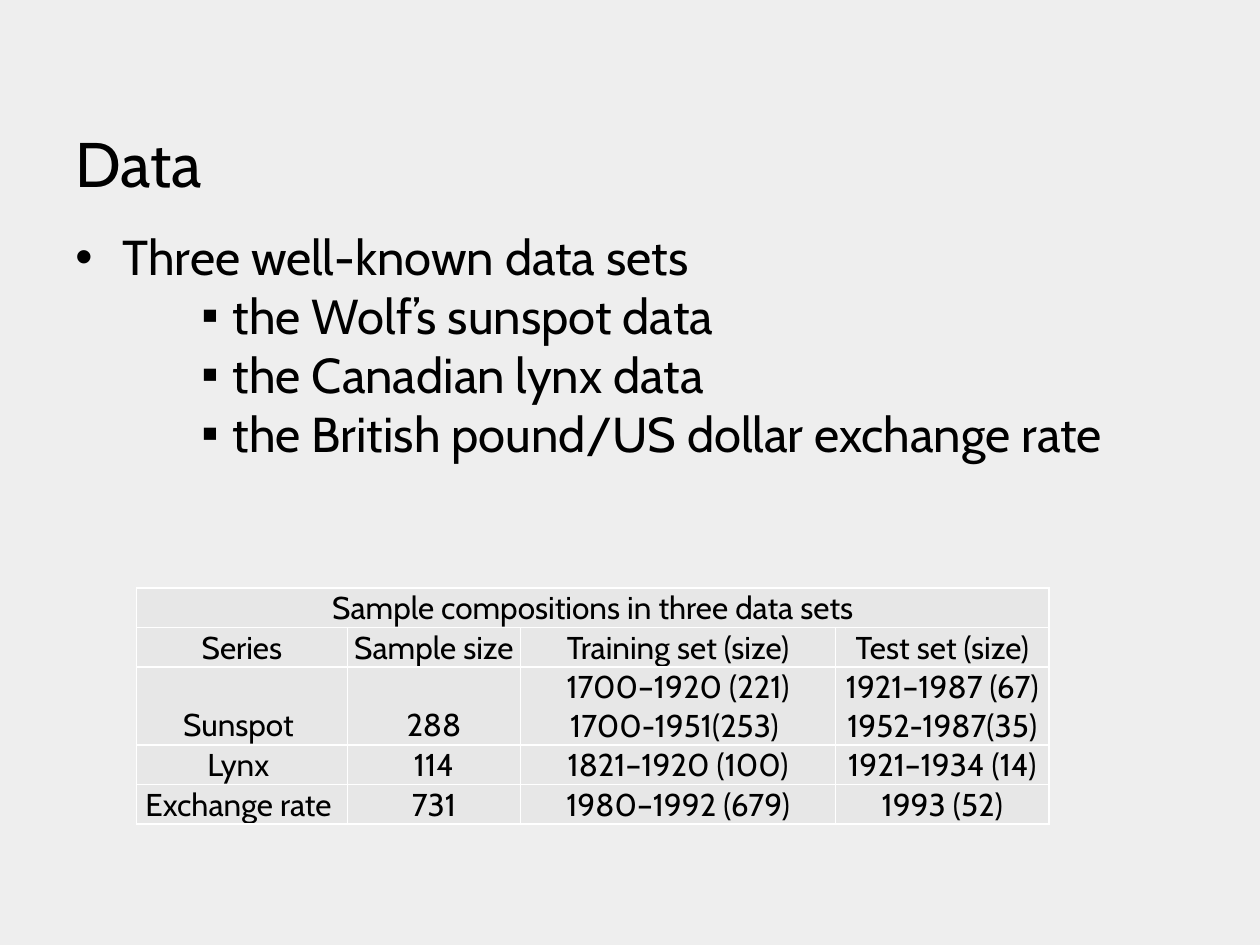
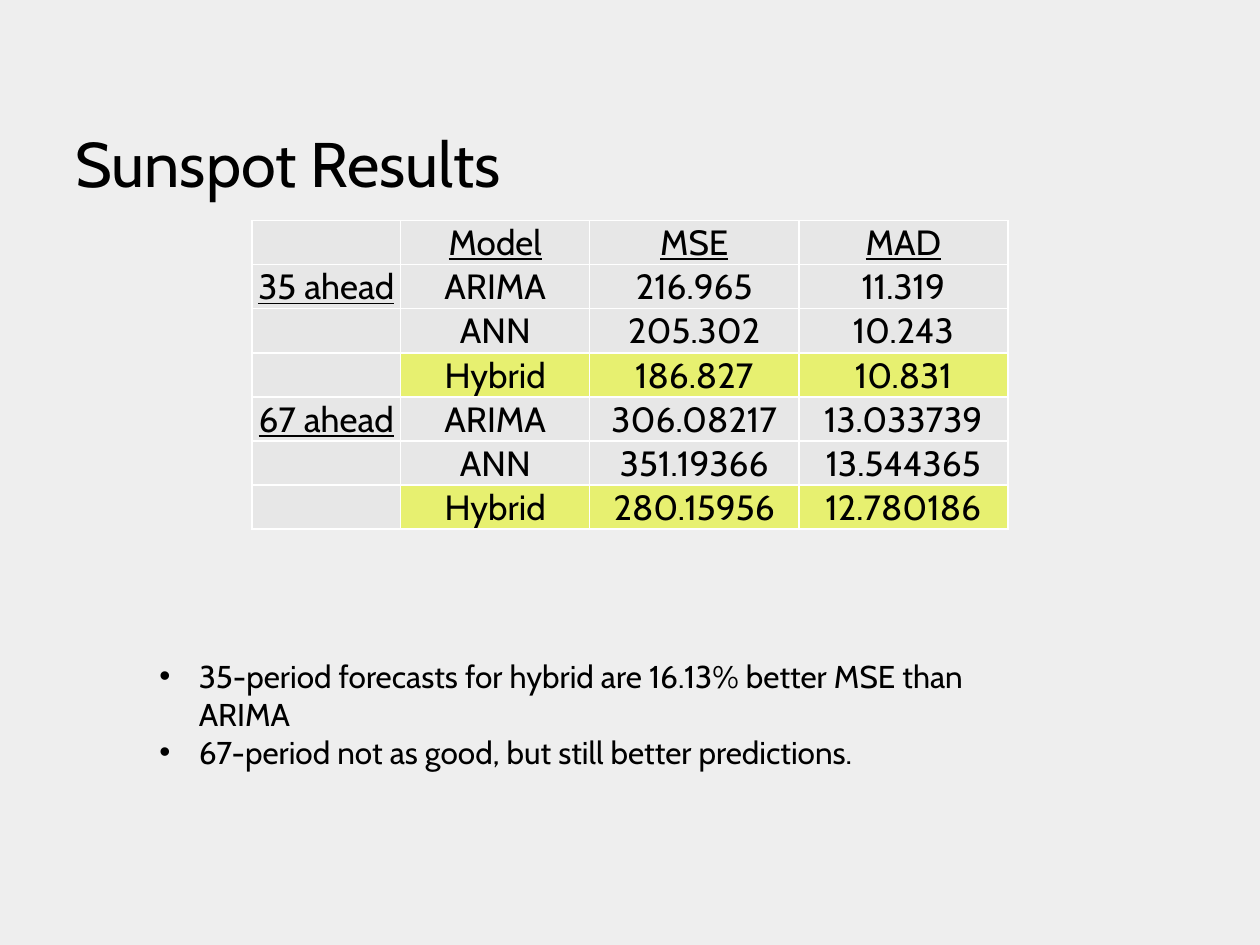
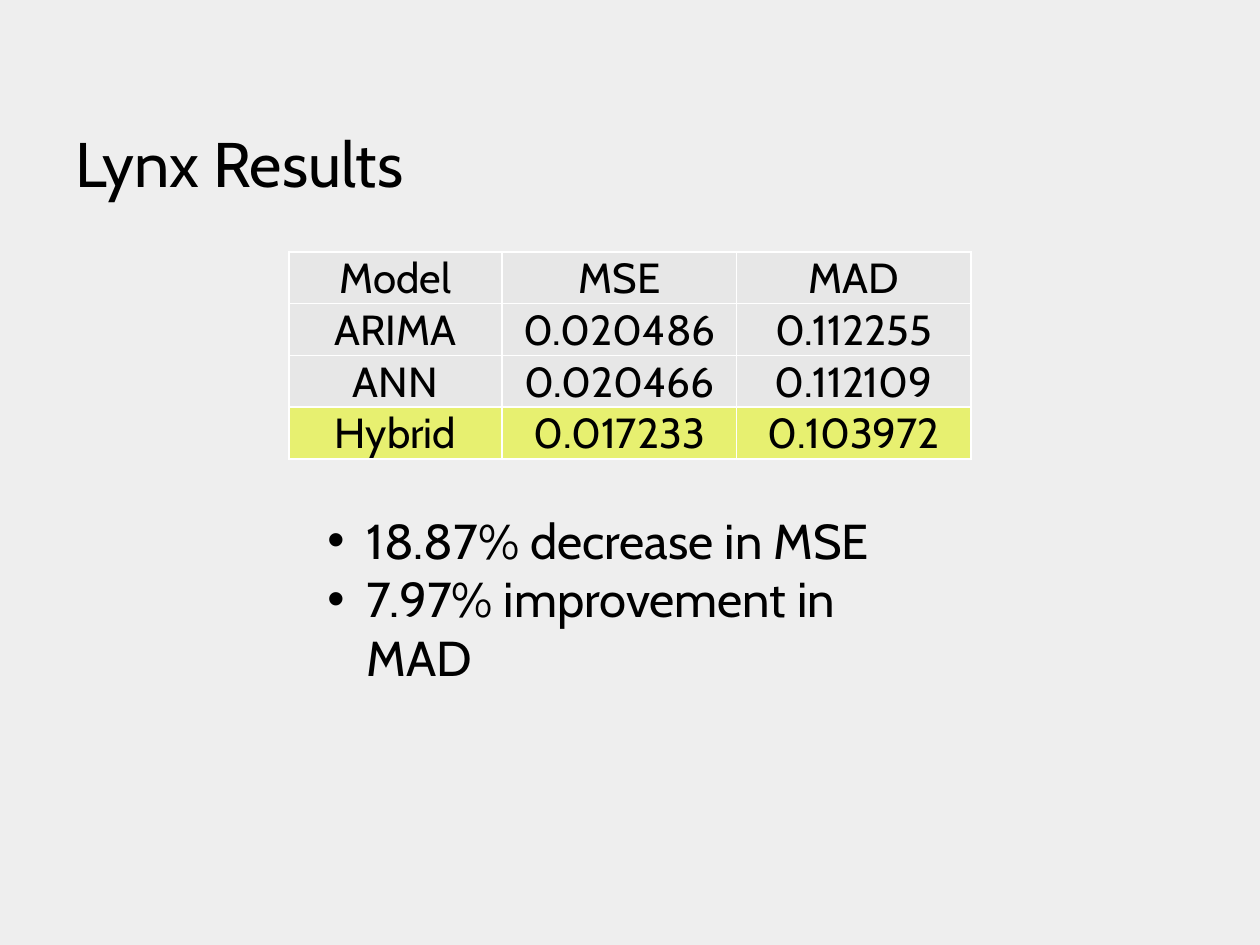
from lxml.etree import SubElement
from pptx import Presentation
from pptx.dml.color import RGBColor
from pptx.enum.text import MSO_ANCHOR as Anchor, PP_ALIGN as Align
from pptx.oxml.ns import qn
from pptx.util import Pt

COLORS = {"background": "EEEEEE", "cell": "E7E7E7", "best": "E7F070",
          "border": "FFFFFF", "text": "000000"}
FONT = "Cabin"
BULLETS = {0: ("•", 27, 27), 1: ("•", 22.5, 22.5), 2: ("▪", 90, 18)}

SLIDES = [
    {
        "title": "Data",
        "points": [(0, "Three well-known data sets"), (2, "the Wolf’s sunspot data"),
                   (2, "the Canadian lynx data"),
                   (2, "the British pound/US dollar exchange rate")],
        "points_box": (36, 126, 648, 356.4), "points_size": 28,
        "rows": [
            ["Sample compositions in three data sets", "", "", ""],
            ["Series", "Sample size", "Training set (size)", "Test set (size)"],
            ["Sunspot ", "288", "1700–1920 (221)\n1700-1951(253) ",
             "1921–1987 (67) 1952-1987(35)"],
            ["Lynx ", "114", "1821–1920 (100)", "1921–1934 (14)"],
            ["Exchange rate ", "731", "1980–1992 (679)", "1993 (52)"],
        ],
        "table_at": (78, 336), "columns": [120.5, 99, 180, 122],
        "heights": [22.6, 22.6, 44.5, 22.6, 22.6], "table_size": 18,
        "caption_row": True,
    },
    {
        "title": "Sunspot Results",
        "points": [(1, "35-period forecasts for hybrid are 16.13% better MSE than ARIMA"),
                   (1, "67-period not as good, but still better predictions.")],
        "points_box": (84, 372, 492, 94), "points_size": 18,
        "rows": [
            ["", "Model", "MSE", "MAD"],
            ["35 ahead", "ARIMA", "216.965", "11.319"],
            ["", "ANN", "205.302", "10.243"],
            ["", "Hybrid", "186.827", "10.831"],
            ["67 ahead", "ARIMA", "306.08217", "13.033739"],
            ["", "ANN", "351.19366", "13.544365"],
            ["", "Hybrid", "280.15956", "12.780186"],
        ],
        "table_at": (144, 126), "columns": [85, 108, 119.5, 119.5],
        "heights": [25.2] * 7, "table_size": 20,
        "underlined_headings": True,
    },
    {
        "title": "Lynx Results",
        "points": [(1, "18.87% decrease in MSE"), (1, "7.97% improvement in MAD")],
        "points_box": (180, 288, 361.5, 108.5), "points_size": 28,
        "rows": [
            ["Model", "MSE", "MAD"],
            ["ARIMA", "0.020486", "0.112255"],
            ["ANN", "0.020466", "0.112109"],
            ["Hybrid", "0.017233", "0.103972"],
        ],
        "table_at": (165, 144), "columns": [122, 134, 134],
        "heights": [29.5] * 4, "table_size": 24,
    },
]


def color(name):
    return RGBColor.from_string(COLORS[name])


def write(frame, lines, size, align=Align.LEFT, underline=False):
    for index, (level, text) in enumerate(lines):
        paragraph = frame.paragraphs[0] if index == 0 else frame.add_paragraph()
        paragraph.alignment = align
        run = paragraph.add_run()
        run.text = text
        run.font.name, run.font.size = FONT, Pt(size)
        run.font.bold, run.font.underline = False, underline
        run.font.color.rgb = color("text")
        if level in BULLETS:
            mark, margin, hanging = BULLETS[level]
            properties = paragraph._p.get_or_add_pPr()
            properties.set("marL", str(Pt(margin)))
            properties.set("indent", str(-Pt(hanging)))
            SubElement(properties, qn("a:buFont"), typeface="Arial")
            SubElement(properties, qn("a:buChar"), char=mark)


def add_text(slide, box, lines, size, anchor=Anchor.TOP):
    frame = slide.shapes.add_textbox(*map(Pt, box)).text_frame
    frame.word_wrap = True
    frame.vertical_anchor = anchor
    write(frame, lines, size)


def style_cell(cell, fill):
    cell.margin_left = cell.margin_right = cell.margin_top = Pt(0.72)
    cell.margin_bottom = 0
    cell.vertical_anchor = Anchor.BOTTOM
    properties = cell._tc.get_or_add_tcPr()
    for side in ("lnL", "lnR", "lnT", "lnB"):
        line = SubElement(properties, qn(f"a:{side}"), w=str(Pt(1)))
        solid = SubElement(line, qn("a:solidFill"))
        SubElement(solid, qn("a:srgbClr"), val=COLORS["border"])
    cell.fill.solid()
    cell.fill.fore_color.rgb = color(fill)


def add_results(slide, content):
    rows, columns, heights = content["rows"], content["columns"], content["heights"]
    extent = (*content["table_at"], sum(columns), sum(heights))
    table = slide.shapes.add_table(len(rows), len(columns), *map(Pt, extent)).table
    table.first_row = table.horz_banding = False
    for column, width in zip(table.columns, columns):
        column.width = Pt(width)
    for r, (row, height) in enumerate(zip(rows, heights)):
        table.rows[r].height = Pt(height)
        for c, text in enumerate(row):
            cell = table.cell(r, c)
            style_cell(cell, "best" if "Hybrid" in row and text else "cell")
            if text:
                heading = content.get("underlined_headings", False) and 0 in (r, c)
                write(cell.text_frame, [(None, line) for line in text.split("\n")],
                      content["table_size"], align=Align.CENTER, underline=heading)
    if content.get("caption_row"):
        table.cell(0, 0).merge(table.cell(0, len(columns) - 1))


def main():
    deck = Presentation()
    deck.slide_width, deck.slide_height = Pt(720), Pt(540)
    backdrop = deck.slide_master.background.fill
    backdrop.solid()
    backdrop.fore_color.rgb = color("background")
    for content in SLIDES:
        slide = deck.slides.add_slide(deck.slide_layouts[6])
        add_text(slide, (36, 28, 648, 90), [(None, content["title"])], 36,
                 anchor=Anchor.BOTTOM)
        add_text(slide, content["points_box"], content["points"], content["points_size"])
        add_results(slide, content)
    deck.save("out.pptx")


if __name__ == "__main__":
    main()
